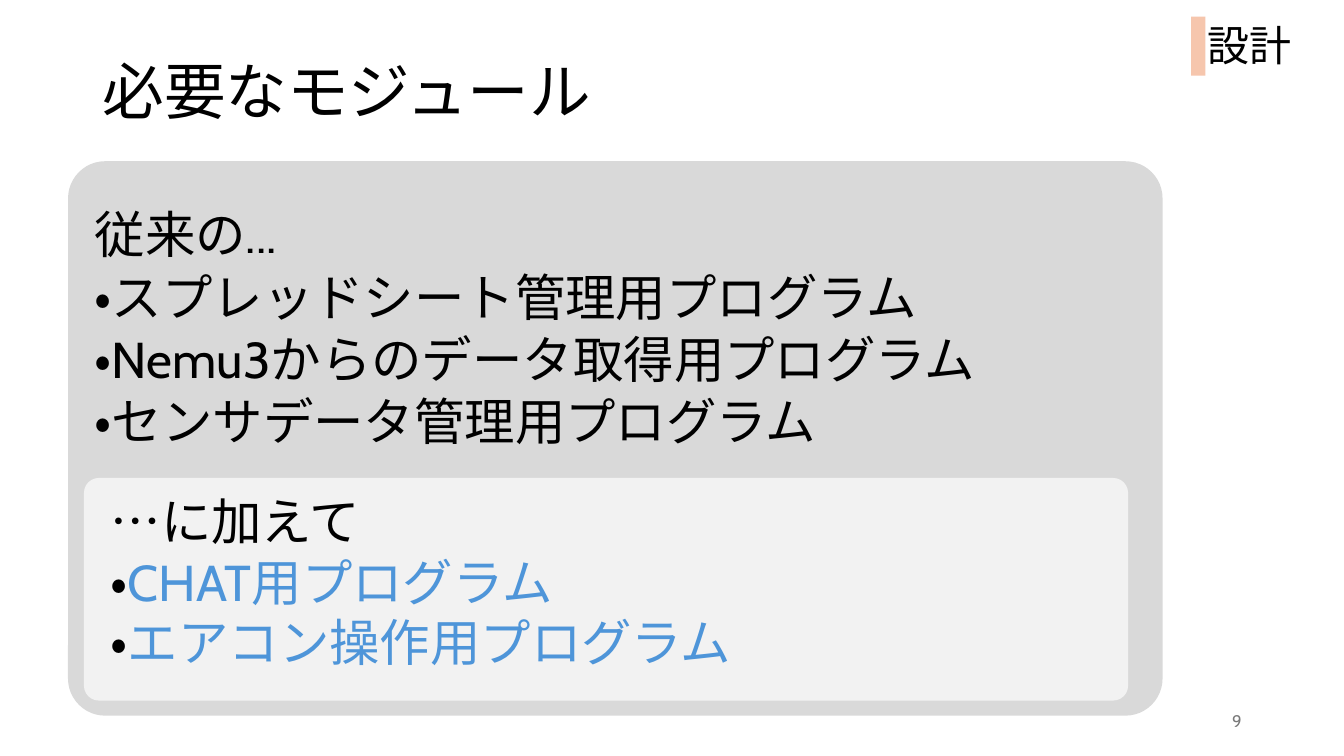
import pptx
import pptx.util
import pptx.dml.color
import pptx.enum.lang
import pptx.enum.shapes
import pptx.enum.text

WIDTH, HEIGHT = 13.33, 7.5
COLUMNS, ROWS = 160, 90
FONT = "Cabin"
LANGUAGE = pptx.enum.lang.MSO_LANGUAGE_ID.JAPANESE
COLORS = {
    "black": "000000", "blue": "4E95D9", "gray": "797979",
    "panel": "D9D9D9", "inset": "F2F2F2", "tab": "F6C6AD",
}
ALIGN = pptx.enum.text.PP_ALIGN
ANCHOR = pptx.enum.text.MSO_ANCHOR
FIT = pptx.enum.text.MSO_AUTO_SIZE
SHAPE = pptx.enum.shapes.MSO_SHAPE

PANELS = [
    ((8.1, 19.2, 130.3, 66), SHAPE.ROUNDED_RECTANGLE, "panel"),
    ((10, 56.9, 124.3, 26.5), SHAPE.ROUNDED_RECTANGLE, "inset"),
    ((141.8, 2, 1.7, 7), SHAPE.RECTANGLE, "tab"),
]
CORNER = 0.067

TITLE = {
    "at": (11, 2.6, 138, 17.4), "size": 44,
    "lines": [[("必要なモジュール", "black")]],
    "frame": {"vertical_anchor": ANCHOR.MIDDLE},
    "format": {"line_spacing": 0.9, "alignment": ALIGN.LEFT},
}
TEXTS = [
    {
        "at": (10.1, 25, 138, 31.9), "size": 36, "gap": 10,
        "lines": [
            [("従来の...", "black")],
            [("・スプレッドシート管理用プログラム", "black")],
            [("・Nemu3からのデータ取得用プログラム", "black")],
            [("・センサデータ管理用プログラム", "black")],
        ],
        "format": {"line_spacing": 0.8},
    },
    {
        "at": (12, 57.8, 81.2, 23), "size": 36,
        "lines": [
            [("…に加えて", "black")],
            [("・", "black"), ("CHAT用プログラム", "blue")],
            [("・", "black"), ("エアコン操作用プログラム", "blue")],
        ],
        "frame": {"word_wrap": False, "auto_size": FIT.SHAPE_TO_FIT_TEXT},
    },
    {
        "at": (142.6, 1.7, 12.7, 7.3), "size": 30,
        "lines": [[("設計", "black")]],
        "frame": {"auto_size": FIT.SHAPE_TO_FIT_TEXT},
    },
    {
        "at": (113, 83.4, 36, 4.8), "size": 12,
        "lines": [[("9", "gray")]],
        "frame": {"vertical_anchor": ANCHOR.MIDDLE},
        "format": {"alignment": ALIGN.RIGHT},
    },
]


def place(cells):
    steps = (WIDTH / COLUMNS, HEIGHT / ROWS) * 2
    return [pptx.util.Inches(cell * step) for cell, step in zip(cells, steps)]


def color(name):
    return pptx.dml.color.RGBColor.from_string(COLORS[name])


def apply(target, values):
    for name, value in values.items():
        setattr(target, name, value)


def write(box, text):
    frame = box.text_frame
    apply(frame, {"word_wrap": True, "auto_size": FIT.NONE, **text.get("frame", {})})
    style = {"name": FONT, "size": pptx.util.Pt(text["size"]), "language_id": LANGUAGE}
    for index, line in enumerate(text["lines"]):
        para = frame.add_paragraph() if index else frame.paragraphs[0]
        apply(para, text.get("format", {}))
        para.space_before = pptx.util.Pt(text.get("gap", 0) if index else 0)
        for words, tint in line:
            span = para.add_run()
            span.text = words
            apply(span.font, style)
            span.font.color.rgb = color(tint)


def main():
    deck = pptx.Presentation()
    deck.slide_width = pptx.util.Inches(WIDTH)
    deck.slide_height = pptx.util.Inches(HEIGHT)
    page = deck.slides.add_slide(deck.slide_layouts[5])

    for cells, kind, fill in PANELS:
        panel = page.shapes.add_shape(kind, *place(cells))
        panel.shadow.inherit = False
        panel.fill.solid()
        panel.fill.fore_color.rgb = color(fill)
        panel.line.fill.background()
        if kind == SHAPE.ROUNDED_RECTANGLE:
            panel.adjustments[0] = CORNER

    title = page.shapes.title
    apply(title, dict(zip(("left", "top", "width", "height"), place(TITLE["at"]))))
    write(title, TITLE)
    for text in TEXTS:
        write(page.shapes.add_textbox(*place(text["at"])), text)

    deck.save("out.pptx")


if __name__ == "__main__":
    main()
